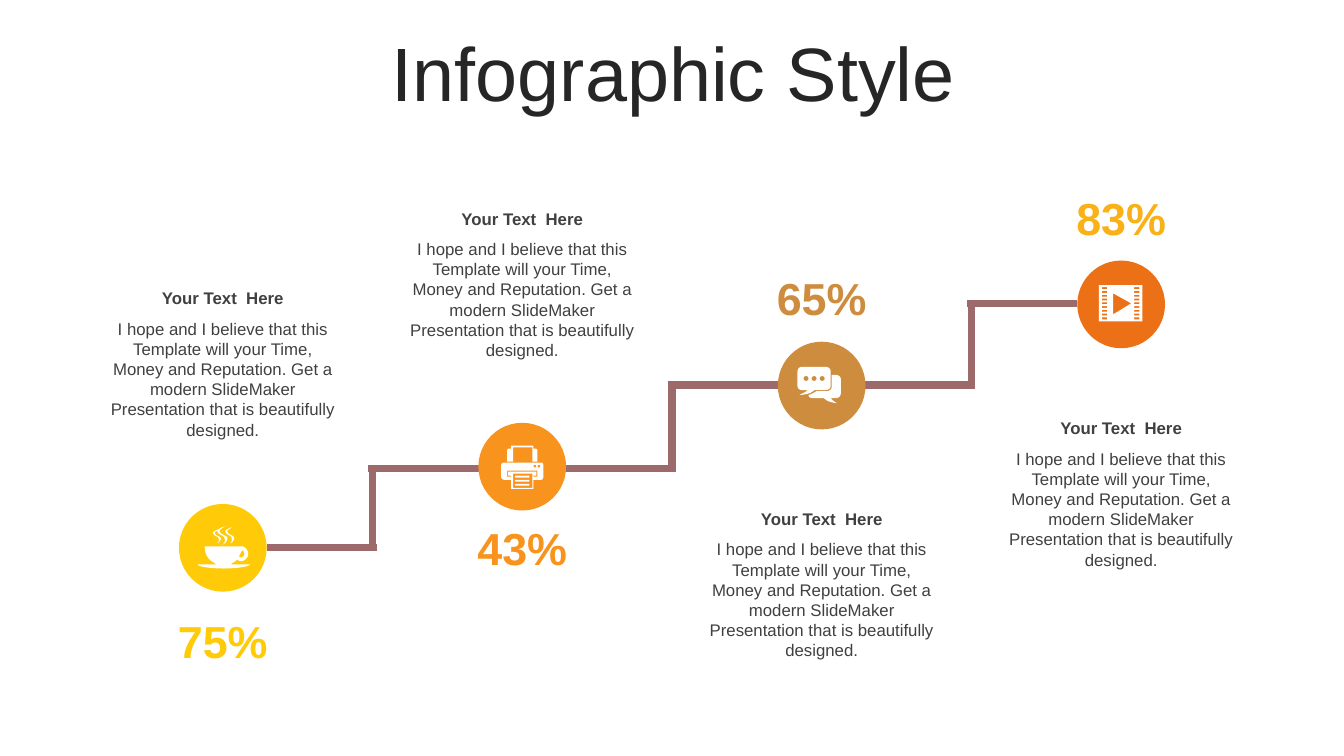
from math import cos, pi, sin

from lxml.etree import SubElement
from pptx import Presentation
from pptx.dml.color import RGBColor
from pptx.enum.shapes import MSO_CONNECTOR, MSO_SHAPE
from pptx.enum.text import MSO_ANCHOR, PP_ALIGN
from pptx.oxml import parse_xml
from pptx.oxml.ns import nsdecls, qn
from pptx.util import Inches, Pt

COLORS = {
    "title": "262626", "text": "404040", "stair": "9C6A6A", "white": "FFFFFF",
    "yellow": "FFCA08", "orange": "F8931D", "tan": "CE8D3E",
    "rust": "EC7016", "amber": "FAB117",
}
TITLE = {"size": Pt(54)}
HEADING = {"size": Pt(12), "bold": True}
BODY = {"size": Pt(12)}
PERCENT = {"size": Pt(32), "bold": True}

FIRST_CENTER, COLUMN = 2.21, 2.97
FIRST_ROW, ROW = 5.435, 0.805
DIAMETER = 0.87
TEXT_WIDTH = 2.49
PERCENT_WIDTH = 1.24
STAIR_WIDTH = 5.25
OVERLAP = 0.04
LOREM = ("I hope and I believe that this Template will your Time, Money and "
         "Reputation. Get a modern SlideMaker Presentation that is "
         "beautifully designed.")


def rect(x, y, w, h):
    return [(x, y), (x + w, y), (x + w, y + h), (x, y + h)]


def dot(cx, cy, radius):
    return [(cx + radius * cos(pi * i / 8), cy + radius * sin(pi * i / 8))
            for i in range(16)]


def steam(x, y, k):
    curl = [(0, 0), (-2, 2, -4, 2, -4, 4), (-3, 7, 3, 7, 2, 10),
            (1, 12, 1, 13, -2, 14), (0, 13, 0, 12, 0, 10),
            (0, 7, -4, 7, -5, 5), (-7, 3, -5, 2, 0, 0)]
    return [tuple(v * k + (y if i % 2 else x) for i, v in enumerate(step))
            for step in curl]


def cup():
    handle = [(44, 24), (43, 26, 42, 28, 41, 30), (42, 31, 43, 31, 44, 31),
              (46, 30, 47, 28, 46, 26), (46, 25, 45, 24, 44, 24)]
    bowl = [(44, 20), (47, 20, 49, 23, 50, 26), (51, 29, 49, 32, 46, 34),
            (44, 35, 41, 35, 39, 33), (38, 35, 36, 36, 35, 36),
            (34, 37, 33, 38, 32, 38), (52, 38), (51, 40, 40, 42, 26, 42),
            (12, 42, 0, 40, 0, 38), (20, 38), (19, 38, 17, 37, 16, 36),
            (10, 33, 7, 27, 7, 20)]
    return [handle, bowl, steam(21, 3, 1), steam(27, 0, 1.3), steam(34, 1, 1.15)]


def printer():
    tray = [(6, 25), (6, 31), (10, 31), (10, 30), (7, 30), (7, 26), (35, 26),
            (35, 30), (32, 30), (32, 31), (36, 31), (36, 25)]
    case = [(3, 17), (40, 17), (41, 17, 42, 18, 42, 20), (42, 31),
            (42, 32, 41, 34, 40, 34), (32, 34), (32, 43), (10, 43), (10, 34),
            (3, 34), (1, 34, 0, 32, 0, 31), (0, 20), (0, 18, 1, 17, 3, 17)]
    feeder = [(10, 0), (32, 0), (32, 3), (34, 3), (35, 3, 36, 4, 36, 5),
              (36, 16), (31, 16), (31, 2), (12, 2), (12, 16), (6, 16), (6, 5),
              (6, 4, 7, 3, 8, 3), (10, 3)]
    rules = [rect(14, y, 14, 1.8) for y in (30, 34, 38)]
    lights = [dot(x, 20.5, 1.4) for x in (33.5, 37.5)]
    return [case, feeder, tray, rect(12, 28, 19, 14)] + rules + lights


def chat():
    front = [(4, 0), (28, 0), (31, 0, 33, 2, 33, 5), (33, 19),
             (33, 21, 31, 23, 28, 23), (17, 23), (12, 27, 10, 27, 2, 28),
             (7, 25, 7, 26, 10, 23), (4, 23), (2, 23, 0, 21, 0, 19), (0, 5),
             (0, 2, 2, 0, 4, 0)]
    back = [(34, 8), (38, 8), (41, 8, 43, 10, 43, 12), (43, 26),
            (43, 29, 41, 31, 38, 31), (33, 31), (34, 32, 34, 33, 39, 36),
            (31, 35, 30, 34, 26, 31), (15, 31), (13, 31, 11, 30, 11, 28),
            (14, 27, 16, 26, 19, 24), (29, 24), (32, 24, 34, 22, 34, 20)]
    return [front, back] + [dot(x, 11.5, 2.5) for x in (8.5, 16.5, 24.5)]


def film():
    holes = [rect(x, 2 + 3.75 * i, 5, 1.8) for x in (3, 35) for i in range(9)]
    return [rect(0, 0, 43, 36), [(14, 8), (14, 29), (32, 18)]] + holes


STEPS = [
    {"percent": "75%", "color": "yellow", "accent": "yellow", "text_top": 2.81,
     "percent_top": 6.04, "tread": 5.43, "icon": cup, "icon_at": (1.96, 5.22)},
    {"percent": "43%", "color": "orange", "accent": "orange", "text_top": 2.02,
     "percent_top": 5.12, "tread": 4.65, "icon": printer, "icon_at": (4.97, 4.42)},
    {"percent": "65%", "color": "tan", "accent": "tan", "text_top": 5,
     "percent_top": 2.64, "tread": 3.82, "icon": chat, "icon_at": (7.91, 3.64)},
    {"percent": "83%", "color": "rust", "accent": "amber", "text_top": 4.1,
     "percent_top": 1.84, "tread": 3.01, "icon": film, "icon_at": (10.9, 2.83)},
]


def rgb(name):
    return RGBColor.from_string(COLORS[name])


def center(i):
    return FIRST_CENTER + COLUMN * i


def add_text(s, text, x, y, w, h, fmt, color):
    tf = s.shapes.add_textbox(*map(Inches, (x, y, w, h))).text_frame
    tf.word_wrap = True
    p = tf.paragraphs[0]
    p.alignment = PP_ALIGN.CENTER
    r = p.add_run()
    r.text = text
    r.font.name = "Arial"
    for key, value in fmt.items():
        setattr(r.font, key, value)
    r.font.color.rgb = rgb(color)
    return tf


def add_percent(s, text, cx, y, color):
    tf = add_text(s, text, cx - PERCENT_WIDTH / 2, y, PERCENT_WIDTH, 0.64,
                  PERCENT, color)
    outline = parse_xml(f'<a:ln {nsdecls("a")} w="12700"><a:solidFill>'
                        f'<a:srgbClr val="{COLORS["white"]}"/>'
                        '</a:solidFill></a:ln>')
    tf.paragraphs[0].runs[0].font._element.insert(0, outline)


def add_line(s, x1, y1, x2, y2):
    line = s.shapes.add_connector(MSO_CONNECTOR.STRAIGHT,
                                  *map(Inches, (x1, y1, x2, y2)))
    line.line.color.rgb = rgb("stair")
    line.line.width = Pt(STAIR_WIDTH)
    SubElement(line._element.spPr, qn("a:effectLst"))


def paint(sp, color):
    sp.shadow.inherit = False
    sp.fill.solid()
    sp.fill.fore_color.rgb = rgb(color)
    sp.line.fill.background()


def add_disc(s, cx, cy, color):
    sp = s.shapes.add_shape(MSO_SHAPE.OVAL, Inches(cx - DIAMETER / 2),
                            Inches(cy - DIAMETER / 2),
                            Inches(DIAMETER), Inches(DIAMETER))
    paint(sp, color)


def flatten(contour, steps=6):
    points = [contour[0]]
    for step in contour[1:]:
        if len(step) == 2:
            points.append(step)
            continue
        ends = [points[-1], step[:2], step[2:4], step[4:]]
        for t in (n / steps for n in range(1, steps + 1)):
            weights = ((1 - t) ** 3, 3 * t * (1 - t) ** 2,
                       3 * t * t * (1 - t), t ** 3)
            points.append(tuple(sum(k * e[axis] for k, e in zip(weights, ends))
                                for axis in (0, 1)))
    return points


def add_icon(s, contours, left, top):
    builder = None
    for contour in contours:
        points = [(Inches(left + x / 100), Inches(top + y / 100))
                  for x, y in flatten(contour)]
        if builder is None:
            builder = s.shapes.build_freeform(*points[0])
        else:
            builder.move_to(*points[0])
        builder.add_line_segments(points[1:], close=True)
    paint(builder.convert_to_shape(), "white")


def add_stairs(s):
    last = len(STEPS) - 1
    for i, step in enumerate(STEPS):
        y, half = step["tread"], COLUMN / 2
        start = center(i) - half - OVERLAP if i else center(i) + DIAMETER / 2
        end = center(i) + half + OVERLAP if i < last else center(i) - DIAMETER / 2
        add_line(s, start, y, end, y)
        if i < last:
            x = center(i) + half
            add_line(s, x, STEPS[i + 1]["tread"] - OVERLAP / 2, x, y + OVERLAP / 2)


def main():
    prs = Presentation()
    prs.slide_width, prs.slide_height = Inches(13.33), Inches(7.5)
    s = prs.slides.add_slide(prs.slide_layouts[6])
    tf = add_text(s, "Infographic Style", 0.35, 0.37, 12.66, 0.79, TITLE, "title")
    tf.vertical_anchor = MSO_ANCHOR.MIDDLE
    tf.paragraphs[0].line_spacing = 0.9
    add_stairs(s)
    for i, step in enumerate(STEPS):
        cx, top = center(i), step["text_top"]
        left = cx - TEXT_WIDTH / 2
        add_text(s, "Your Text  Here", left, top, TEXT_WIDTH, 0.3, HEADING, "text")
        add_text(s, LOREM, left, top + 0.3, TEXT_WIDTH, 1.31, BODY, "text")
        add_percent(s, step["percent"], cx, step["percent_top"], step["accent"])
        add_disc(s, cx, FIRST_ROW - ROW * i, step["color"])
        add_icon(s, step["icon"](), *step["icon_at"])
    prs.save("out.pptx")


if __name__ == "__main__":
    main()
